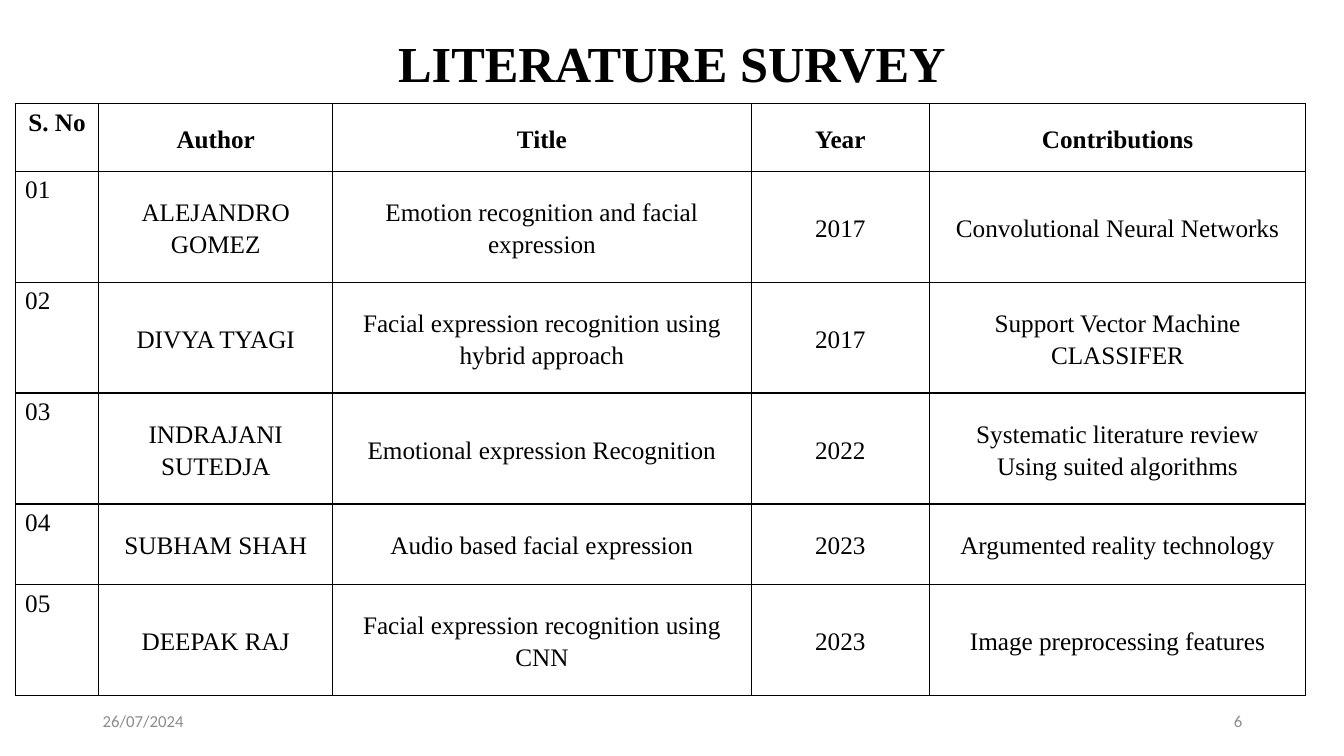
from lxml import etree
from pptx import Presentation, util as u
from pptx.dml.color import RGBColor
from pptx.enum import text
from pptx.oxml import ns

PX = 9144  # EMU per px, 100 px to the inch
SERIF, SANS = "Times New Roman", "Calibri"
BLACK, GREY = "000000", "8C8C8C"
LEFT, CENTER, RIGHT = (text.PP_ALIGN.LEFT, text.PP_ALIGN.CENTER,
                       text.PP_ALIGN.RIGHT)
TOP, MIDDLE = text.MSO_ANCHOR.TOP, text.MSO_ANCHOR.MIDDLE

COLUMNS = [83, 232, 415, 177, 373]
ROW_HEIGHTS = [67, 110, 110, 110, 80, 110]
SURVEY = [
    ["S. No", "Author", "Title", "Year", "Contributions"],
    ["01", "ALEJANDRO GOMEZ", "Emotion recognition and facial expression",
     "2017", "Convolutional Neural Networks"],
    ["02", "DIVYA TYAGI", "Facial expression recognition using hybrid approach",
     "2017", "Support Vector Machine CLASSIFER"],
    ["03", "INDRAJANI SUTEDJA", "Emotional expression Recognition",
     "2022", "Systematic literature review\nUsing suited algorithms"],
    ["04", "SUBHAM SHAH", "Audio based facial expression",
     "2023", "Argumented reality technology"],
    ["05", "DEEPAK RAJ", "Facial expression recognition using CNN",
     "2023", "Image preprocessing features"],
]


def px(n):
    return u.Emu(n * PX)


def color(value):
    return RGBColor.from_string(value)


def set_attrs(obj, values):
    for name, value in values.items():
        setattr(obj, name, value)


def write(tf, content, size, font=SERIF, fill=BLACK, bold=False,
          align=LEFT, spacing=1.0):
    tf.text = content
    tf.word_wrap = True
    for p in tf.paragraphs:
        set_attrs(p, {"alignment": align, "line_spacing": spacing})
        for r in p.runs:
            set_attrs(r.font, {"name": font, "size": u.Pt(size), "bold": bold})
            r.font.color.rgb = color(fill)


def add_label(slide, box, content, size, **style):
    sp = slide.shapes.add_textbox(*map(px, box))
    sp.text_frame.vertical_anchor = MIDDLE
    write(sp.text_frame, content, size, **style)


def add_borders(cell):
    tc_pr = cell._tc.get_or_add_tcPr()
    for side in "LRTB":
        ln = etree.SubElement(tc_pr, ns.qn(f"a:ln{side}"), w=str(u.Pt(1)))
        solid = etree.SubElement(ln, ns.qn("a:solidFill"))
        etree.SubElement(solid, ns.qn("a:srgbClr"), val=BLACK)


def add_survey_table(slide, left, top):
    box = left, top, sum(COLUMNS), sum(ROW_HEIGHTS)
    table = slide.shapes.add_table(len(SURVEY), len(COLUMNS),
                                   *map(px, box)).table
    set_attrs(table, {"first_row": False, "horz_banding": False})
    for column, width in zip(table.columns, COLUMNS):
        column.width = px(width)
    for row, height in zip(table.rows, ROW_HEIGHTS):
        row.height = px(height)
    for i, entries in enumerate(SURVEY):
        for j, entry in enumerate(entries):
            cell = table.cell(i, j)
            header, number = i == 0, j == 0
            add_borders(cell)
            cell.fill.background()
            cell.vertical_anchor = TOP if number else MIDDLE
            if not number:
                set_attrs(cell, {"margin_left": px(8), "margin_right": px(8),
                                 "margin_top": 0, "margin_bottom": 0})
            write(cell.text_frame, entry, 18, bold=header,
                  align=LEFT if number and not header else CENTER,
                  spacing=1.0 if number else 1.15)


def add_footer(slide, top):
    for left, content, align in [(92, "26/07/2024", LEFT), (942, "6", RIGHT)]:
        add_label(slide, (left, top, 300, 40), content, 12,
                  font=SANS, fill=GREY, align=align)


def main():
    prs = Presentation()
    set_attrs(prs, {"slide_width": px(1333), "slide_height": px(750)})
    slide = prs.slides.add_slide(prs.slide_layouts[6])
    add_label(slide, (0, 0, 1333, 132), "LITERATURE SURVEY", 36,
              bold=True, align=CENTER, spacing=0.9)
    add_survey_table(slide, 15, 103)
    add_footer(slide, 695)
    prs.save("out.pptx")


if __name__ == "__main__":
    main()
